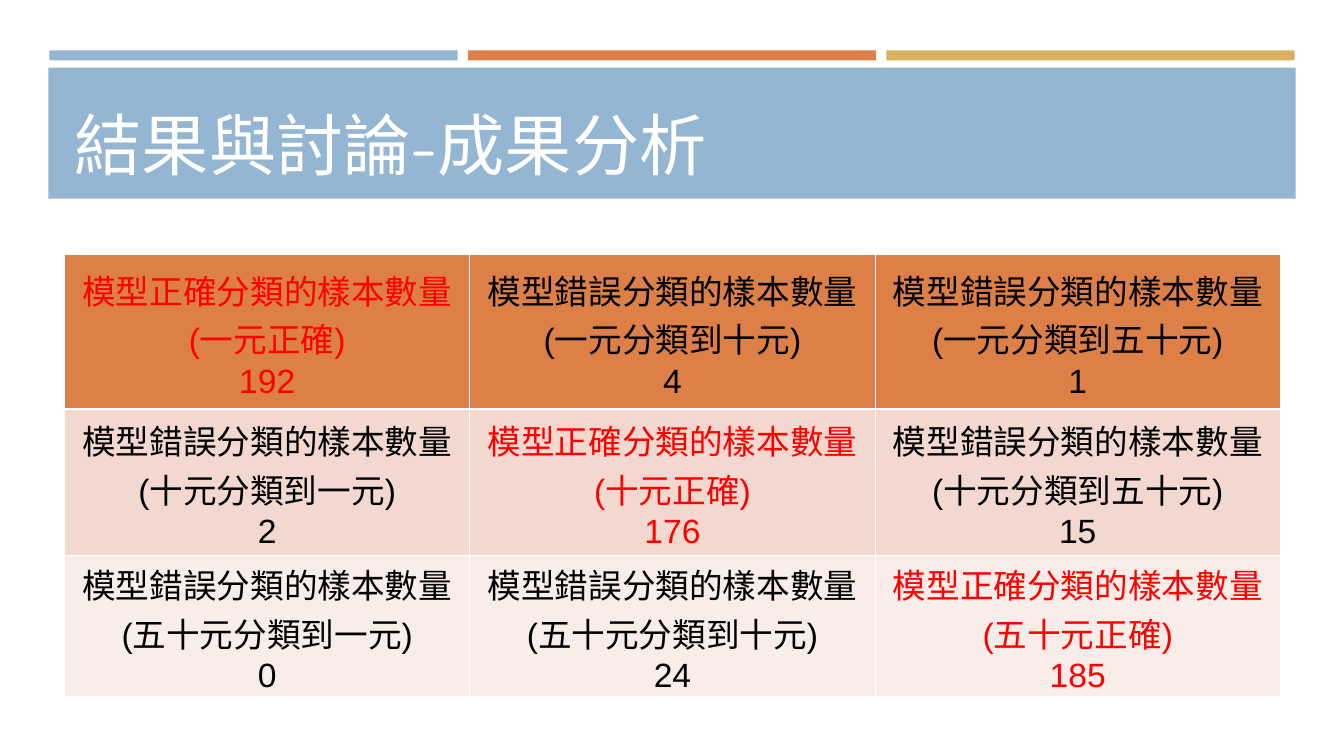
import pptx
import pptx.dml.color
import pptx.enum.shapes
import pptx.enum.text
import pptx.oxml
import pptx.oxml.ns
import pptx.util
from pptx.dml.color import RGBColor
from pptx.enum.text import MSO_ANCHOR, PP_ALIGN
from pptx.util import Inches

BLUE = RGBColor(0x94, 0xB6, 0xD2)
ORANGE = RGBColor(0xDD, 0x80, 0x47)
GOLD = RGBColor(0xD8, 0xB2, 0x5C)
PINK = RGBColor(0xF2, 0xD8, 0xCF)
PALE_PINK = RGBColor(0xF9, 0xED, 0xE9)
WHITE = RGBColor(0xFF, 0xFF, 0xFF)
BLACK = RGBColor(0, 0, 0)
RED = RGBColor(0xFF, 0, 0)

TITLE = "結果與討論-成果分析"
COINS = ["一元", "十元", "五十元"]
COUNTS = [[192, 4, 1], [2, 176, 15], [0, 24, 185]]
ROW_FILLS = [ORANGE, PINK, PALE_PINK]
ROW_HEIGHTS = [1.54, 1.45, 1.4]
COLUMN_WIDTH = 4.02
BARS = [
    (0.49 + 4.15 * index, 0.5, 4.05, 0.1, color)
    for index, color in enumerate([BLUE, ORANGE, GOLD])
]
BANNER = (0.48, 0.67, 12.37, 1.3, BLUE)


def write_text(frame, text, *, size, font, color, align, anchor, margins):
    frame.word_wrap = True
    frame.vertical_anchor = anchor
    frame.margin_left, frame.margin_top, frame.margin_right, frame.margin_bottom = map(Inches, margins)
    frame.text = text
    for paragraph in frame.paragraphs:
        paragraph.alignment = align
        for run in paragraph.runs:
            run.font.size = pptx.util.Pt(size)
            run.font.name = font
            run.font.bold = False
            run.font.color.rgb = color


def add_bar(slide, left, top, width, height, color):
    bar = slide.shapes.add_shape(
        pptx.enum.shapes.MSO_SHAPE.RECTANGLE, *map(Inches, (left, top, width, height)))
    bar.fill.solid()
    bar.fill.fore_color.rgb = color
    bar.line.fill.background()
    bar.shadow.inherit = False


def set_borders(cell, widths):
    properties = cell._tc.get_or_add_tcPr()
    for position, (side, points) in enumerate(widths.items()):
        border = pptx.oxml.parse_xml(
            f'<a:{side} {pptx.oxml.ns.nsdecls("a")} w="{pptx.util.Pt(points)}">'
            f'<a:solidFill><a:srgbClr val="{WHITE}"/></a:solidFill></a:{side}>')
        properties.insert(position, border)


def add_confusion_table(slide):
    size = len(COINS)
    table = slide.shapes.add_table(
        size, size, Inches(0.64), Inches(2.52),
        Inches(COLUMN_WIDTH * size), Inches(sum(ROW_HEIGHTS))).table
    for column in table.columns:
        column.width = Inches(COLUMN_WIDTH)
    for row, actual in enumerate(COINS):
        table.rows[row].height = Inches(ROW_HEIGHTS[row])
        for column, predicted in enumerate(COINS):
            correct = row == column
            verdict = "正確" if correct else "錯誤"
            detail = f"{actual}正確" if correct else f"{actual}分類到{predicted}"
            cell = table.cell(row, column)
            cell.fill.solid()
            cell.fill.fore_color.rgb = ROW_FILLS[row]
            write_text(
                cell.text_frame,
                f"模型{verdict}分類的樣本數量\v({detail})\n{COUNTS[row][column]}",
                size=24, font="Arial", color=RED if correct else BLACK,
                align=PP_ALIGN.CENTER, anchor=MSO_ANCHOR.MIDDLE,
                margins=(0.02, 0.02, 0.02, 0))
            cell.vertical_anchor = MSO_ANCHOR.MIDDLE
            cell.margin_left = cell.margin_right = cell.margin_top = Inches(0.02)
            cell.margin_bottom = 0
            set_borders(cell, {
                "lnL": 1, "lnR": 1,
                "lnT": 1.5 if row == 1 else 1,
                "lnB": 1.5 if row == 0 else 1})


def main():
    presentation = pptx.Presentation()
    presentation.slide_width = Inches(13.33)
    presentation.slide_height = Inches(7.5)
    slide = presentation.slides.add_slide(presentation.slide_layouts[5])
    for bar in [*BARS, BANNER]:
        add_bar(slide, *bar)
    title = slide.shapes.title
    title.left, title.top, title.width, title.height = map(Inches, (0.64, 0.77, 12.06, 1.11))
    write_text(
        title.text_frame, TITLE, size=48, font="Comic Neue", color=WHITE,
        align=PP_ALIGN.LEFT, anchor=MSO_ANCHOR.BOTTOM, margins=(0.1, 0.05, 0.1, 0.05))
    slide.shapes._spTree.append(title._element)
    add_confusion_table(slide)
    presentation.save("out.pptx")


if __name__ == "__main__":
    main()
